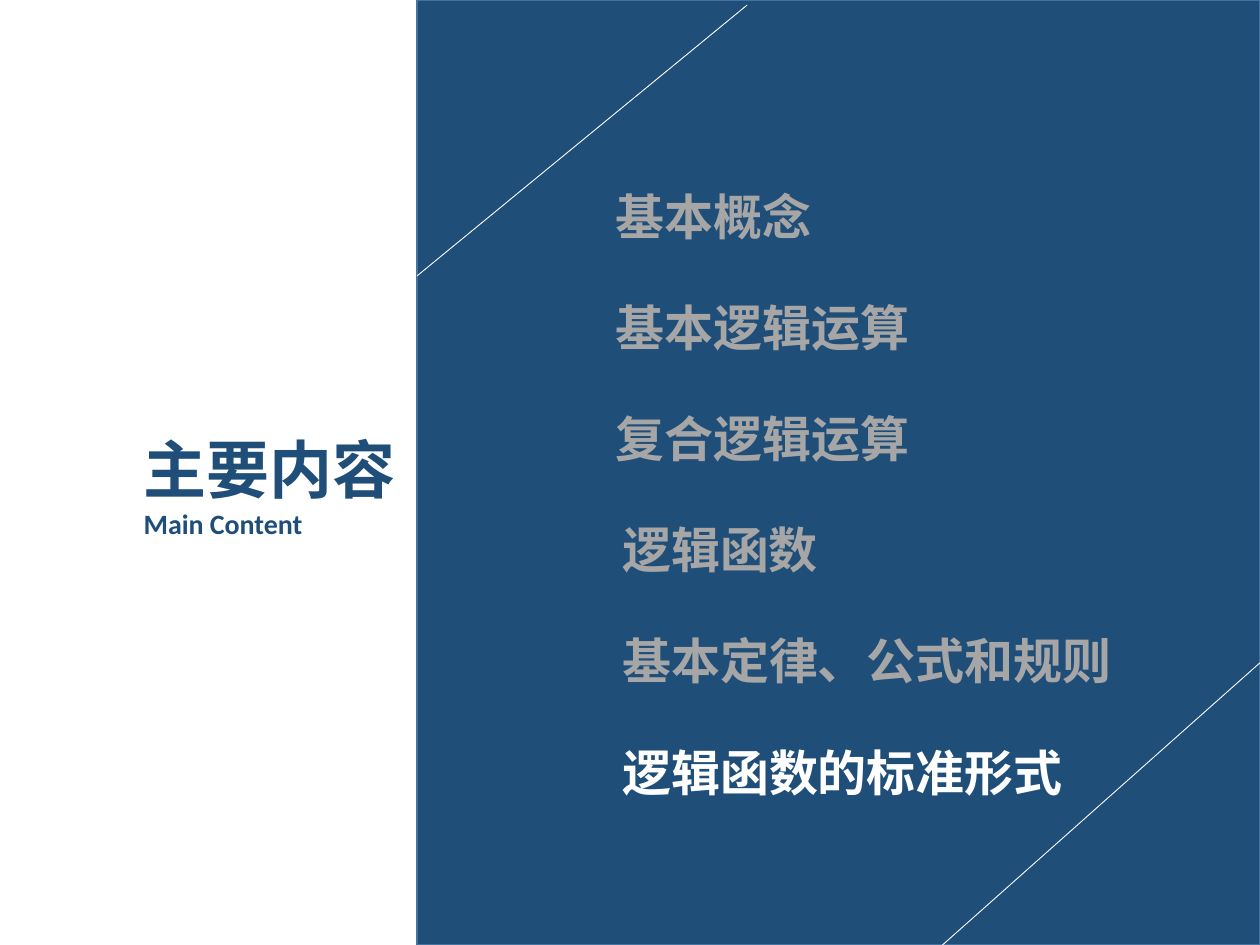
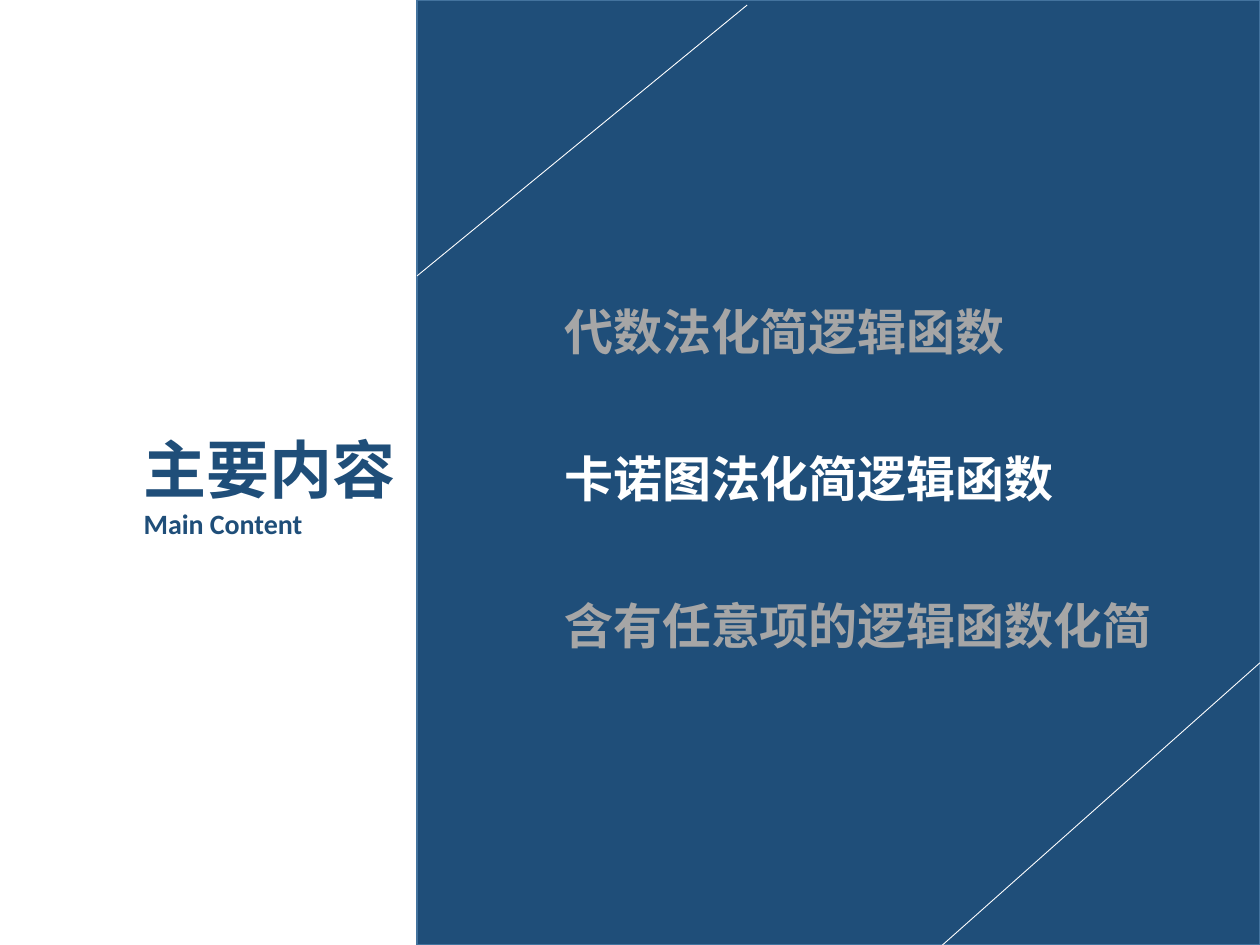
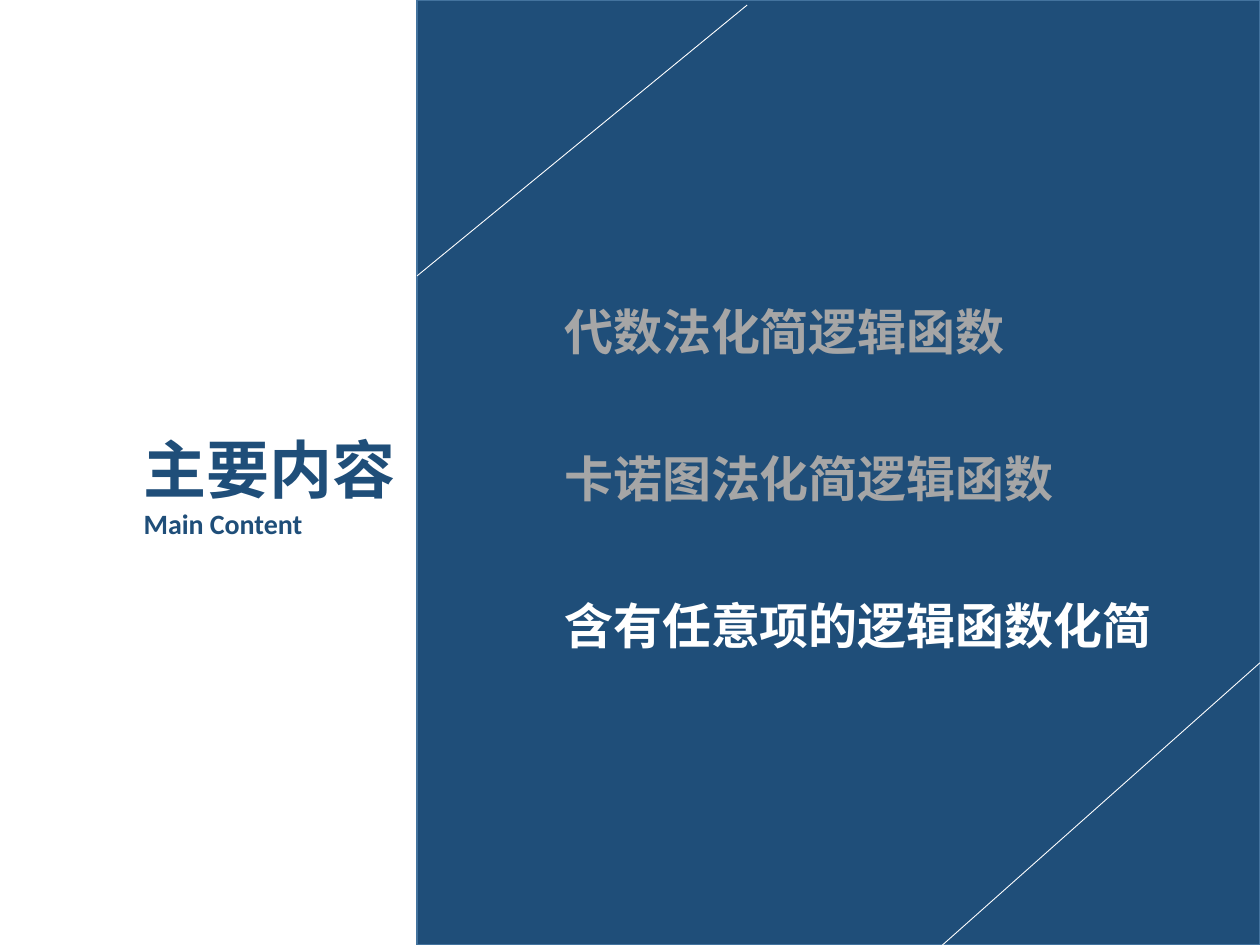
from lxml import etree
from pptx import Presentation
from pptx.dml.color import RGBColor
from pptx.enum.shapes import MSO_CONNECTOR, MSO_SHAPE
from pptx.enum.text import MSO_ANCHOR, MSO_AUTO_SIZE, PP_ALIGN
from pptx.oxml.ns import qn
from pptx.util import Inches, Pt

COLOURS = {
    "navy": "1F4E79",
    "edge": "43739E",
    "white": "FFFFFF",
    "muted": "A6A6A6",
}
CHINESE_FONT = "Noto Sans CJK SC"
LATIN_FONT = "Calibri"
TITLE_ONLY = 5

SLIDE_WIDTH, SLIDE_HEIGHT = 10, 7.5
PANEL_LEFT = 3.31
TITLE_LEFT = 1.04
TOPIC_HEIGHT = 0.57

# Topics: text, left, width
LOGIC_TOPICS = [
    ("基本概念", 4.79, 2.93),
    ("基本逻辑运算", 4.79, 2.71),
    ("复合逻辑运算", 4.79, 3.27),
    ("逻辑函数", 4.84, 3.27),
    ("基本定律、公式和规则", 4.84, 4.35),
    ("逻辑函数的标准形式", 4.84, 4.38),
]
SIMPLIFY_TOPICS = [
    ("代数法化简逻辑函数", 4.38, 3.94),
    ("卡诺图法化简逻辑函数", 4.38, 4.53),
    ("含有任意项的逻辑函数化简", 4.38, 5.35),
]

# Agendas: topics, current topic, top of the first and of the last topic
AGENDAS = [
    (LOGIC_TOPICS, 5, 1.43, 5.84),
    (SIMPLIFY_TOPICS, 1, 2.34, 4.68),
    (SIMPLIFY_TOPICS, 2, 2.34, 4.68),
]


def colour(name):
    return RGBColor.from_string(COLOURS[name])


class AgendaDeck:
    """Holds the shared style and the current slide."""

    def __init__(self):
        self.deck = Presentation()
        self.deck.slide_width = Inches(SLIDE_WIDTH)
        self.deck.slide_height = Inches(SLIDE_HEIGHT)
        self.page = None

    def new_page(self):
        layout = self.deck.slide_layouts[TITLE_ONLY]
        self.page = self.deck.slides.add_slide(layout)

    def format_paragraph(self, para, size, colour_name, font_name):
        para.alignment = PP_ALIGN.LEFT
        for span in para.runs:
            span.font.size = Pt(size)
            span.font.bold = True
            span.font.color.rgb = colour(colour_name)
            span.font.name = font_name
            # East Asian characters take their font from a:ea
            properties = span._r.get_or_add_rPr()
            etree.SubElement(properties, qn("a:ea"), typeface=font_name)

    def title(self, chinese, english):
        box = self.page.shapes.title
        box.left, box.top = Inches(TITLE_LEFT), Inches(3.37)
        box.width, box.height = Inches(PANEL_LEFT - TITLE_LEFT), Inches(0.98)
        frame = box.text_frame
        frame.text = f"{chinese}\n{english}"
        frame.word_wrap = True
        frame.auto_size = MSO_AUTO_SIZE.NONE
        frame.vertical_anchor = MSO_ANCHOR.TOP
        self.format_paragraph(frame.paragraphs[0], 36, "navy", CHINESE_FONT)
        self.format_paragraph(frame.paragraphs[1], 16, "navy", LATIN_FONT)

    def panel(self):
        panel = self.page.shapes.add_shape(
            MSO_SHAPE.RECTANGLE, Inches(PANEL_LEFT), 0,
            Inches(SLIDE_WIDTH - PANEL_LEFT), Inches(SLIDE_HEIGHT))
        panel.shadow.inherit = False
        panel.fill.solid()
        panel.fill.fore_color.rgb = colour("navy")
        panel.line.color.rgb = colour("edge")
        panel.line.width = Pt(1)

    def line(self, *ends):
        line = self.page.shapes.add_connector(
            MSO_CONNECTOR.STRAIGHT, *map(Inches, ends))
        line.line.color.rgb = colour("white")
        line.line.width = Pt(0.5)
        etree.SubElement(line._element.spPr, qn("a:effectLst"))

    def topic(self, text, left, top, width, current):
        box = self.page.shapes.add_textbox(
            Inches(left), Inches(top), Inches(width), Inches(TOPIC_HEIGHT))
        frame = box.text_frame
        frame.word_wrap = True
        frame.text = text
        self.format_paragraph(frame.paragraphs[0], 28,
                              "white" if current else "muted", CHINESE_FONT)

    def agenda(self, topics, current, first_top, last_top):
        self.new_page()
        # Title and panel with its two corner lines
        self.title("主要内容", "Main Content")
        self.panel()
        self.line(5.93, 0.04, PANEL_LEFT, 2.19)
        self.line(SLIDE_WIDTH, 5.26, 7.48, SLIDE_HEIGHT)
        # Evenly spaced topics
        pitch = (last_top - first_top) / (len(topics) - 1)
        for index, (text, left, width) in enumerate(topics):
            self.topic(text, left, first_top + index * pitch, width,
                       index == current)


def main():
    builder = AgendaDeck()
    for agenda in AGENDAS:
        builder.agenda(*agenda)
    builder.deck.save("out.pptx")


if __name__ == "__main__":
    main()
